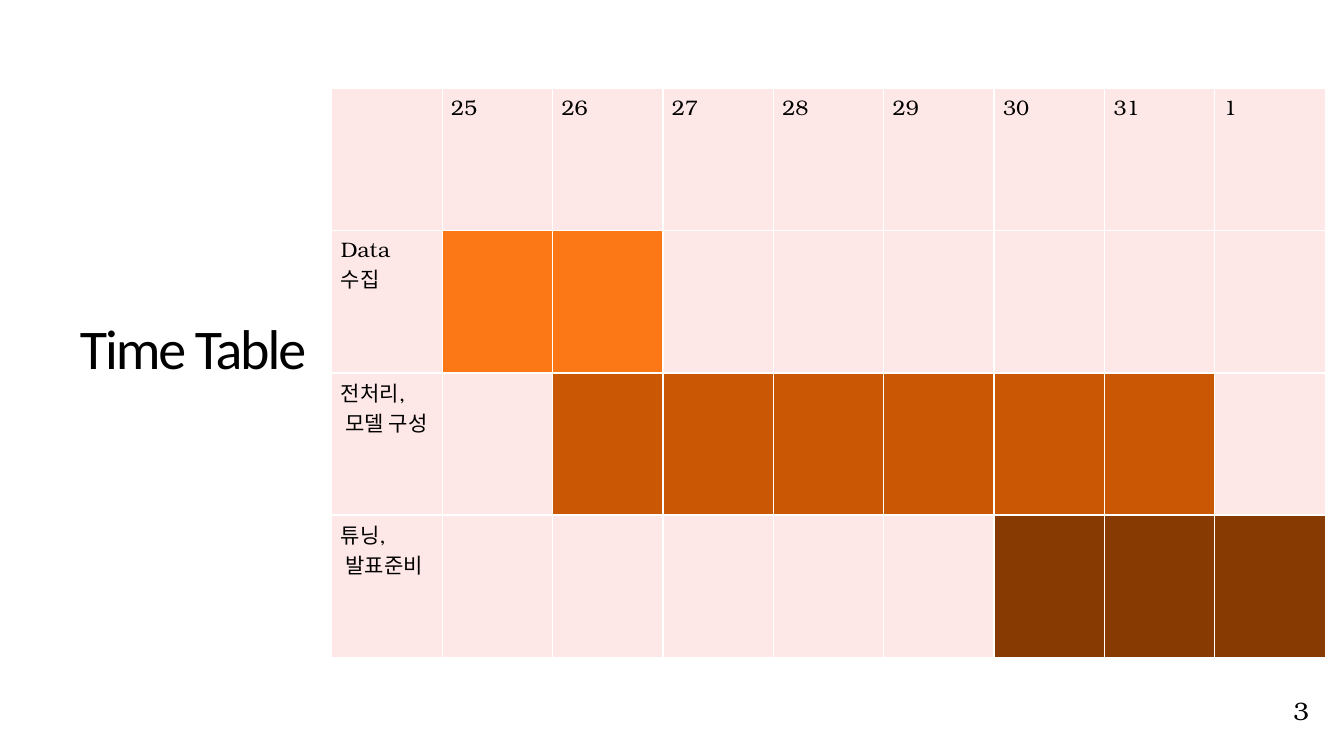
from dataclasses import dataclass

from lxml import etree
from pptx import Presentation
from pptx.dml.color import RGBColor
from pptx.enum.text import MSO_ANCHOR, PP_ALIGN
from pptx.oxml.ns import qn
from pptx.util import Inches, Pt

MIDDLE, TOP = MSO_ANCHOR.MIDDLE, MSO_ANCHOR.TOP
CENTER, LEFT = PP_ALIGN.CENTER, PP_ALIGN.LEFT
BORDER_SIDES = ("a:lnL", "a:lnR", "a:lnT", "a:lnB")


@dataclass(frozen=True)
class Theme:
    title_font: str = "Calibri"
    body_font: str = "TeX Gyre Bonum"
    title_size: int = 40
    cell_size: int = 15
    number_size: int = 18
    ink: str = "000000"
    border: str = "FFFFFF"
    idle: str = "FEE8E7"
    collect: str = "FC7715"
    model: str = "CA5703"
    tune: str = "873A02"


THEME = Theme()
COLUMN, ROW = 1.095, 1.41
DAYS = ["25", "26", "27", "28", "29", "30", "31", "1"]
# Task lines, first day, last day, bar colour
TASKS = [
    (["Data", "수집"], "25", "26", THEME.collect),
    (["전처리,", " 모델 구성"], "26", "31", THEME.model),
    (["튜닝,", " 발표준비"], "30", "1", THEME.tune),
]


def apply(target, values):
    for name, value in values.items():
        setattr(target, name, value)


def write_lines(frame, lines, font, size, align=LEFT, spacing=None):
    """Write one paragraph per line and return the last span."""
    for index, line in enumerate(lines):
        para = frame.add_paragraph() if index else frame.paragraphs[0]
        apply(para, {"alignment": align, "line_spacing": spacing})
        span = para.add_run()
        span.text = line
        apply(span.font, {"name": font, "size": Pt(size)})
        span.font.color.rgb = RGBColor.from_string(THEME.ink)
    return span


def add_text(page, area, inset, anchor, wrap):
    box = page.shapes.add_textbox(*(Inches(length) for length in area))
    sides, ends = (Inches(margin) for margin in inset)
    apply(box.text_frame, {
        "word_wrap": wrap, "vertical_anchor": anchor,
        "margin_left": sides, "margin_right": sides,
        "margin_top": ends, "margin_bottom": ends,
    })
    return box.text_frame


def add_borders(cell):
    """Draw the four cell borders, which must precede the fill in the XML."""
    properties = cell._tc.get_or_add_tcPr()
    for index, side in enumerate(BORDER_SIDES):
        line = etree.Element(qn(side), w=str(Pt(1)))
        fill = etree.SubElement(line, qn("a:solidFill"))
        etree.SubElement(fill, qn("a:srgbClr"), val=THEME.border)
        properties.insert(index, line)


def style_cell(cell, colour, lines=()):
    cell.fill.solid()
    cell.fill.fore_color.rgb = RGBColor.from_string(colour)
    add_borders(cell)
    apply(cell, {
        "margin_left": Inches(0.09), "margin_right": Inches(0.09),
        "margin_top": Inches(0.04), "margin_bottom": Inches(0.04),
    })
    if lines:
        write_lines(cell.text_frame, lines, THEME.body_font, THEME.cell_size)


def add_schedule(page, left, top):
    rows, columns = len(TASKS) + 1, len(DAYS) + 1
    table = page.shapes.add_table(
        rows, columns, Inches(left), Inches(top),
        Inches(COLUMN * columns), Inches(ROW * rows)).table
    apply(table, {"first_row": False, "horz_banding": False})

    style_cell(table.cell(0, 0), THEME.idle)
    for column, day in enumerate(DAYS, 1):
        style_cell(table.cell(0, column), THEME.idle, [day])
    for row, (lines, first, last, colour) in enumerate(TASKS, 1):
        style_cell(table.cell(row, 0), THEME.idle, lines)
        busy = range(DAYS.index(first), DAYS.index(last) + 1)
        for day in range(len(DAYS)):
            style_cell(table.cell(row, day + 1),
                       colour if day in busy else THEME.idle)


def main():
    deck = Presentation()
    apply(deck, {"slide_width": Inches(13.33), "slide_height": Inches(7.5)})
    page = deck.slides.add_slide(deck.slide_layouts[6])

    title = add_text(page, (0, 2.15, 3.83, 2.69), (0.25, 0.25), MIDDLE, True)
    span = write_lines(title, ["Time Table"], THEME.title_font,
                       THEME.title_size, CENTER, 0.85)
    span.font._element.set("spc", "-150")

    add_schedule(page, 3.29, 0.88)

    number = add_text(page, (12.73, 6.85, 0.5, 0.4), (0.1, 0.05), TOP, True)
    write_lines(number, ["3"], THEME.body_font, THEME.number_size)
    deck.save("out.pptx")


if __name__ == "__main__":
    main()
